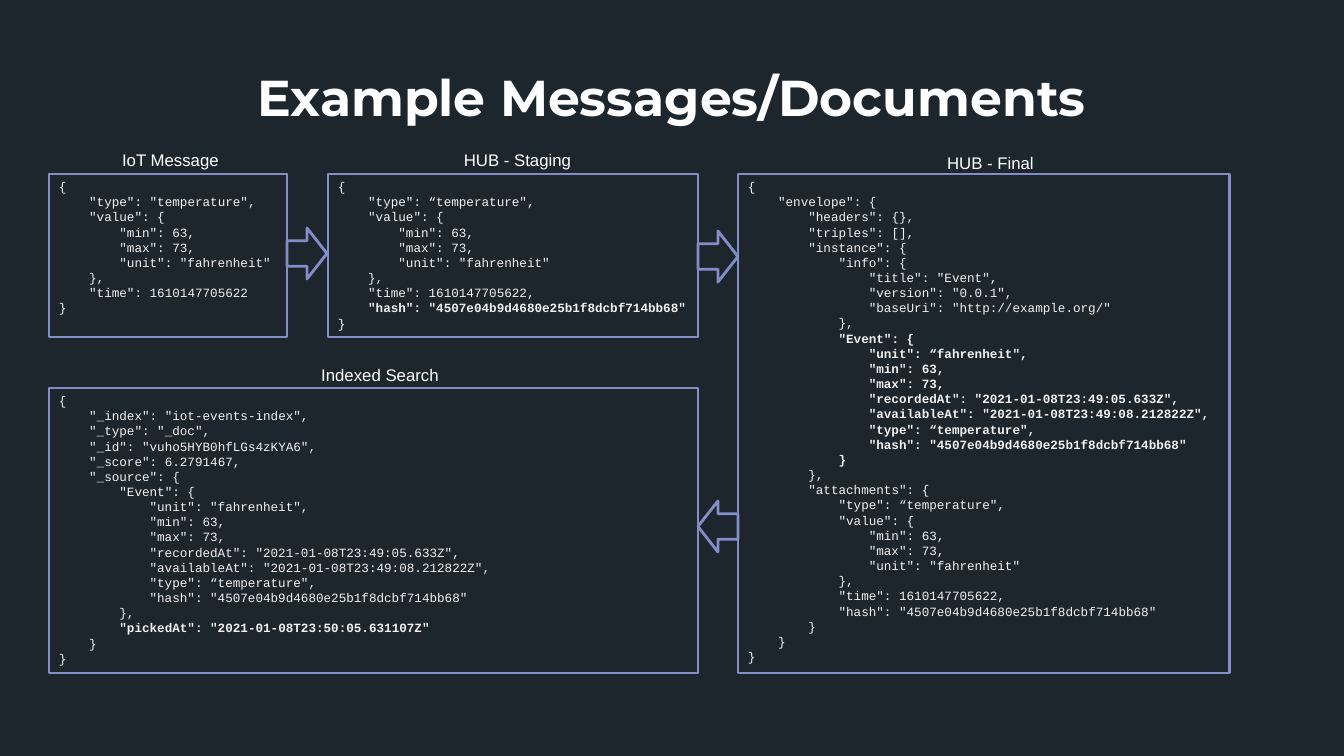
"""Build a slide that follows one sensor message through four JSON documents."""
from pptx import Presentation
from pptx.dml.color import RGBColor
from pptx.enum.shapes import MSO_SHAPE as Shape
from pptx.enum.text import MSO_ANCHOR as Anchor, PP_ALIGN as Align
from pptx.util import Emu, Pt

NAVY = RGBColor(0x1D, 0x25, 0x2D)
PERIWINKLE = RGBColor(0x83, 0x8D, 0xC8)
WHITE = RGBColor(0xFF, 0xFF, 0xFF)
PALE = RGBColor(0xF2, 0xF2, 0xF2)
SCALE = 914400 / 100.8
CODE_INDENT = Pt(21.6)

IOT_MESSAGE = """{
"type": "temperature",
"value": {
"min": 63,
"max": 73,
"unit": "fahrenheit"
},
"time": 1610147705622
}"""

STAGING = """{
"type": “temperature",
"value": {
"min": 63,
"max": 73,
"unit": "fahrenheit"
},
"time": 1610147705622,
"hash": "4507e04b9d4680e25b1f8dcbf714bb68"
}"""

FINAL = """{
"envelope": {
"headers": {},
"triples": [],
"instance": {
"info": {
"title": "Event",
"version": "0.0.1",
"baseUri": "http://example.org/"
},
"Event": {
"unit": “fahrenheit",
"min": 63,
"max": 73,
"recordedAt": "2021-01-08T23:49:05.633Z",
"availableAt": "2021-01-08T23:49:08.212822Z",
"type": “temperature",
"hash": "4507e04b9d4680e25b1f8dcbf714bb68"
}
},
"attachments": {
"type": “temperature",
"value": {
"min": 63,
"max": 73,
"unit": "fahrenheit"
},
"time": 1610147705622,
"hash": "4507e04b9d4680e25b1f8dcbf714bb68"
}
}
}"""

SEARCH = """{
"_index": "iot-events-index",
"_type": "_doc",
"_id": "vuho5HYB0hfLGs4zKYA6",
"_score": 6.2791467,
"_source": {
"Event": {
"unit": "fahrenheit",
"min": 63,
"max": 73,
"recordedAt": "2021-01-08T23:49:05.633Z",
"availableAt": "2021-01-08T23:49:08.212822Z",
"type": “temperature",
"hash": "4507e04b9d4680e25b1f8dcbf714bb68"
},
"pickedAt": "2021-01-08T23:50:05.631107Z"
}
}"""


def px(*lengths):
    return [Emu(round(length * SCALE)) for length in lengths]


def write(para, text, font="Arial", size=12, color=WHITE, bold=False,
          align=Align.CENTER, indent=0):
    para.alignment = align
    properties = para._p.get_or_add_pPr()
    properties.set("marL", str(int(indent)))
    properties.set("indent", "0")
    span = para.add_run()
    span.text = text
    span.font.name = font
    span.font.size = Pt(size)
    span.font.bold = bold
    span.font.color.rgb = color


deck = Presentation()
deck.slide_width, deck.slide_height = px(1344, 756)
page = deck.slides.add_slide(deck.slide_layouts[5])
page.background.fill.solid()
page.background.fill.fore_color.rgb = NAVY

title = page.shapes.title
title.left, title.top, title.width, title.height = px(60, 66, 1223, 65)
frame = title.text_frame
frame.margin_left = frame.margin_top = frame.margin_right = frame.margin_bottom = 0
frame.vertical_anchor = Anchor.MIDDLE
frame.paragraphs[0].line_spacing = Pt(40)
write(frame.paragraphs[0], "Example Messages/Documents", font="Montserrat", size=36, bold=True)

labels = [
    ("IoT Message", (45, 150, 242, 24)),
    ("HUB - Staging", (328, 150, 370, 24)),
    ("HUB - Final", (740, 153, 492, 23)),
    ("Indexed Search", (49, 365, 653, 24)),
]
for text, place in labels:
    box = page.shapes.add_textbox(*px(*place))
    frame = box.text_frame
    frame.word_wrap = True
    frame.margin_left = frame.margin_top = frame.margin_right = frame.margin_bottom = 0
    write(frame.paragraphs[0], text, indent=px(9)[0])

panels = [
    (IOT_MESSAGE, (49, 174, 238, 163), range(0)),
    (STAGING, (328, 174, 370, 163), range(8, 9)),
    (FINAL, (738, 174, 492, 499), range(10, 19)),
    (SEARCH, (49, 388, 649, 285), range(15, 16)),
]
outlined = []
for code, place, bold_lines in panels:
    panel = page.shapes.add_shape(Shape.RECTANGLE, *px(*place))
    outlined.append(panel)
    frame = panel.text_frame
    frame.word_wrap = True
    frame.vertical_anchor = Anchor.TOP
    depth = 0
    for number, line in enumerate(code.splitlines()):
        para = frame.add_paragraph() if number else frame.paragraphs[0]
        depth -= line.startswith("}")
        write(para, line, font="Courier New", size=9, color=PALE,
              bold=number in bold_lines, align=Align.LEFT, indent=depth * CODE_INDENT)
        depth += line.endswith("{")

arrows = [
    (Shape.RIGHT_ARROW, 287, 228),
    (Shape.RIGHT_ARROW, 698, 231),
    (Shape.LEFT_ARROW, 698, 501),
]
for kind, left, top in arrows:
    outlined.append(page.shapes.add_shape(kind, *px(left, top, 40, 51)))

for shape in outlined:
    shape.shadow.inherit = False
    shape.fill.background()
    shape.line.color.rgb = PERIWINKLE
    shape.line.width = Pt(2)

deck.save("out.pptx")
